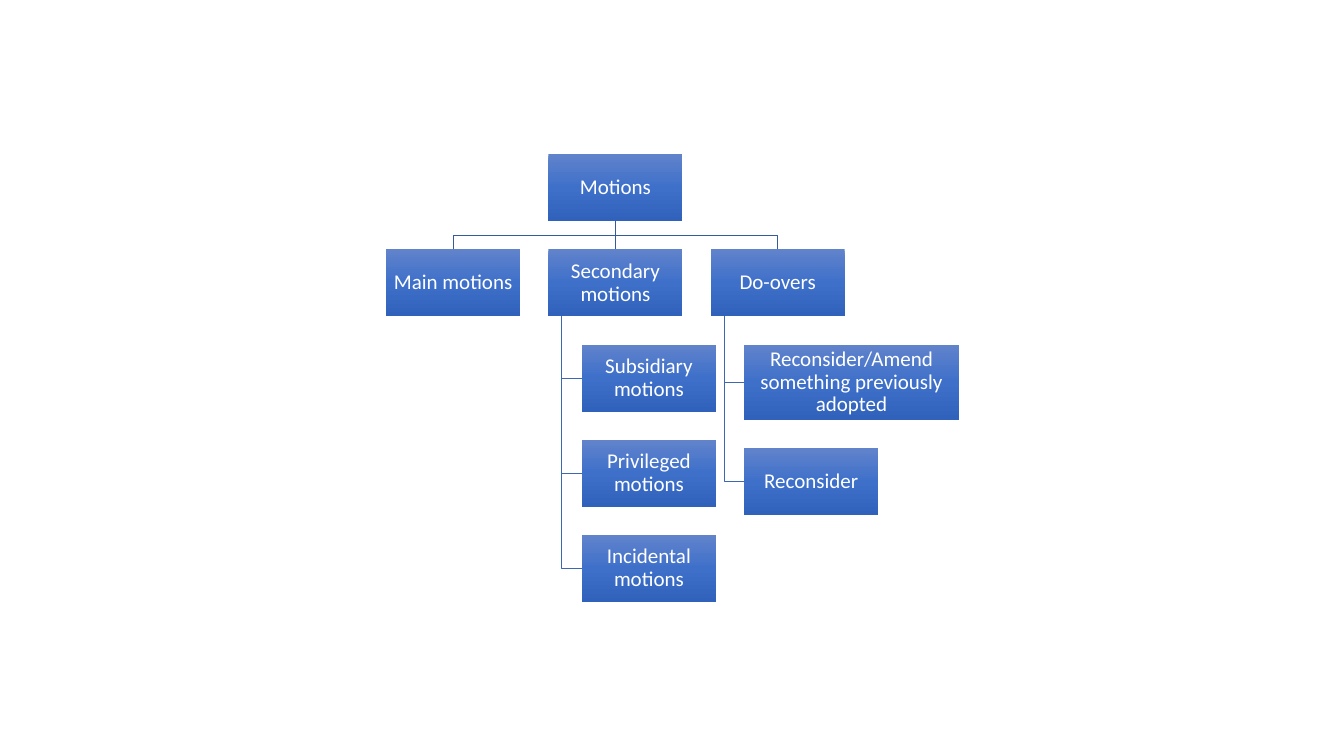
from pptx import Presentation
from pptx.dml.color import RGBColor
from pptx.enum.shapes import MSO_CONNECTOR, MSO_SHAPE
from pptx.enum.text import MSO_ANCHOR, PP_ALIGN
from pptx.oxml import parse_xml
from pptx.oxml.ns import nsdecls, qn
from pptx.util import Inches, Pt

HUES = {"top": "6183CB", "mid": "3E70CA", "base": "3062BB",
        "text": "FFFFFF", "main": "365B9D", "sub": "3E67B2"}
# The box width sets the grid; all other lengths are shares of it.
WIDE = 1.33
HIGH = WIDE / 2
GAP = WIDE * 0.21
LEFT, TOP = 3.83, 1.53

# Each branch: its label, then its leaves as (label, width, height).
TREE = [
    ("Main motions", []),
    ("Secondary motions", [("Subsidiary motions", WIDE, HIGH),
                           ("Privileged motions", WIDE, HIGH),
                           ("Incidental motions", WIDE, HIGH)]),
    ("Do-overs", [("Reconsider/Amend something previously adopted", 2.13, 0.75),
                  ("Reconsider", WIDE, HIGH)]),
]


class Chart:
    """Holds the style and the slide of the tree."""

    def __init__(self, slide, font="Calibri", size=15):
        """Keep the slide and the text style."""
        self.slide, self.font, self.size = slide, font, size

    def shade(self, shape):
        """Fill a shape with the three-stop gradient, top to bottom."""
        stops = "".join(
            f'<a:gs pos="{pos}"><a:srgbClr val="{HUES[key]}"/></a:gs>'
            for pos, key in ((0, "top"), (50000, "mid"), (100000, "base")))
        fill = parse_xml(f'<a:gradFill {nsdecls("a")} rotWithShape="1"><a:gsLst>{stops}'
                         '</a:gsLst><a:lin ang="5400000" scaled="0"/></a:gradFill>')
        shape._element.spPr.find(qn("a:prstGeom")).addnext(fill)

    def box(self, text, x, y, wide=WIDE, high=HIGH):
        """Draw one labelled box."""
        shape = self.slide.shapes.add_shape(
            MSO_SHAPE.RECTANGLE, *map(Inches, (x, y, wide, high)))
        shape.shadow.inherit = False
        shape.line.fill.background()
        self.shade(shape)
        frame = shape.text_frame
        frame.word_wrap = True
        frame.vertical_anchor = MSO_ANCHOR.MIDDLE
        frame.margin_left = frame.margin_right = Inches(0.01)
        frame.margin_top = frame.margin_bottom = Inches(0.01)
        para = frame.paragraphs[0]
        para.alignment, para.line_spacing = PP_ALIGN.CENTER, 0.9
        run = para.add_run()
        run.text = text
        run.font.name, run.font.size = self.font, Pt(self.size)
        run.font.color.rgb = RGBColor.from_string(HUES["text"])

    def link(self, hue, *spots):
        """Join points: a connector for two, an open outline for more."""
        spots = [(Inches(x), Inches(y)) for x, y in spots]
        shapes = self.slide.shapes
        if len(spots) == 2:
            line = shapes.add_connector(MSO_CONNECTOR.STRAIGHT, *spots[0], *spots[1])
            line._element.spPr.append(parse_xml(f'<a:effectLst {nsdecls("a")}/>'))
        else:
            pen = shapes.build_freeform(*spots[0])
            pen.add_line_segments(spots[1:], close=False)
            line = pen.convert_to_shape()
            line.fill.background()
            line.shadow.inherit = False
        line.line.color.rgb = RGBColor.from_string(HUES[hue])
        line.line.width = Pt(0.5)


def draw(chart):
    """Lay out the root, the branches and their leaves."""
    step = WIDE + GAP
    root, row = LEFT + step, TOP + HIGH + GAP
    mid, foot = root + WIDE / 2, TOP + HIGH
    chart.box("Motions", root, TOP)
    for col, (name, leaves) in enumerate(TREE):
        x = LEFT + col * step
        end = x + WIDE / 2
        bend = [] if col == 1 else [(mid, foot + GAP / 2), (end, foot + GAP / 2)]
        chart.link("main", (mid, foot), *bend, (end, row))
        chart.box(name, x, row)
        stem, edge, y = x + WIDE / 10, x + WIDE / 4, row + HIGH + GAP
        for text, wide, high in leaves:
            half = y + high / 2
            chart.link("sub", (stem, row + HIGH), (stem, half), (edge, half))
            chart.box(text, edge, y, wide, high)
            y += high + GAP


deck = Presentation()
deck.slide_width, deck.slide_height = Inches(13.33), Inches(7.5)
draw(Chart(deck.slides.add_slide(deck.slide_layouts[6])))
deck.save("out.pptx")
